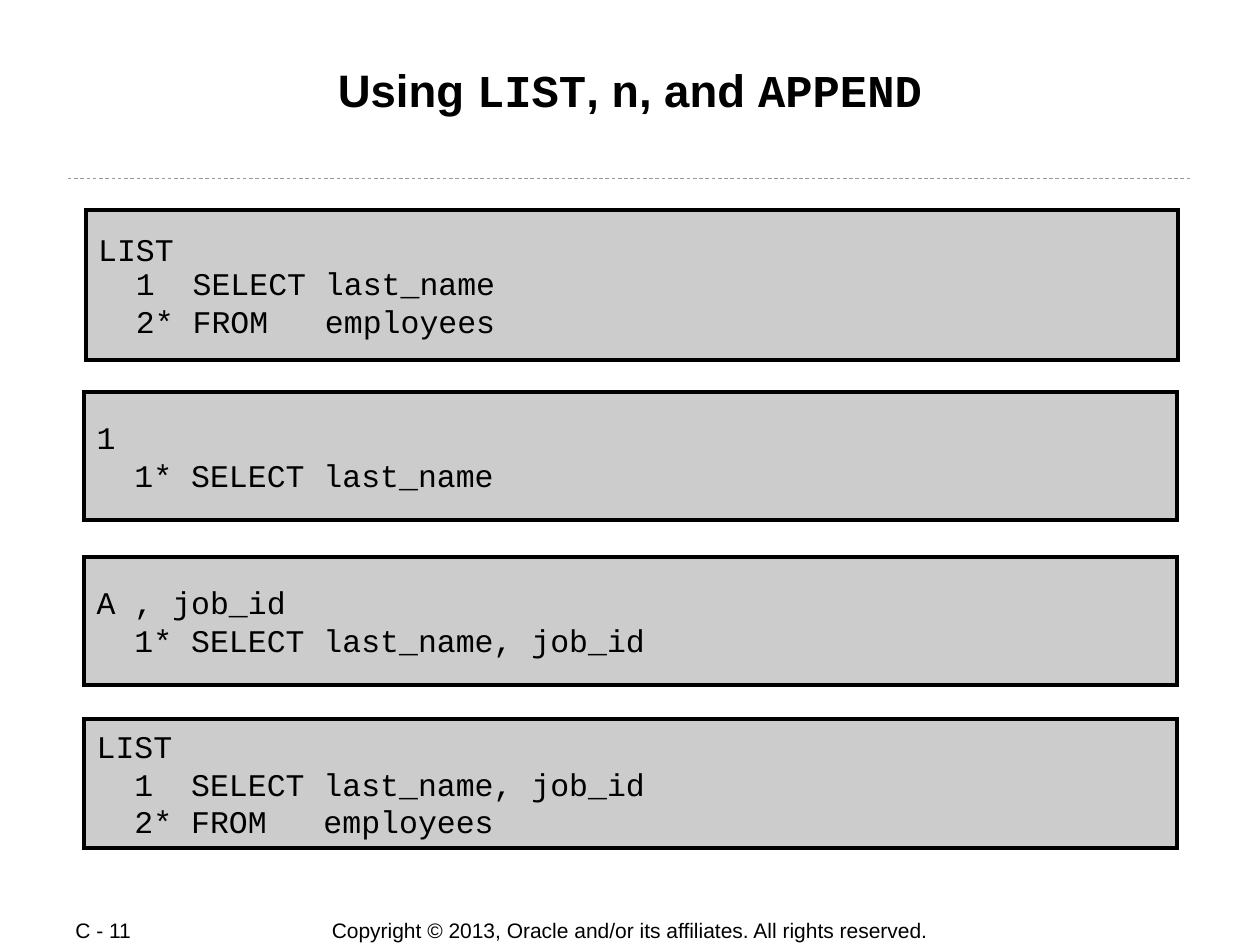
from dataclasses import dataclass

from lxml import etree
from pptx import Presentation
from pptx.dml.color import RGBColor
from pptx.enum.dml import MSO_LINE
from pptx.enum.shapes import MSO_CONNECTOR, MSO_SHAPE
from pptx.enum.text import MSO_ANCHOR, PP_ALIGN
from pptx.oxml.ns import qn
from pptx.util import Cm, Pt

RECTANGLE, STRAIGHT = MSO_SHAPE.RECTANGLE, MSO_CONNECTOR.STRAIGHT
TOP, MIDDLE = MSO_ANCHOR.TOP, MSO_ANCHOR.MIDDLE
LEFT, CENTER, JUSTIFY = PP_ALIGN.LEFT, PP_ALIGN.CENTER, PP_ALIGN.JUSTIFY
DASH = MSO_LINE.DASH


@dataclass(frozen=True)
class Theme:
    """Colours, fonts and type sizes of the slide."""
    ink: RGBColor = RGBColor(0x00, 0x00, 0x00)
    panel: RGBColor = RGBColor(0xCC, 0xCC, 0xCC)
    rule: RGBColor = RGBColor(0x99, 0x99, 0x99)
    sans: str = "Arial"
    mono: str = "Courier New"
    title_size: int = 26
    code_size: int = 18
    footer_size: int = 12


THEME = Theme()

TITLE = [("Using ", THEME.sans), ("LIST", THEME.mono), (", ", THEME.sans),
         ("n", THEME.mono), (", and ", THEME.sans), ("APPEND", THEME.mono)]

LISTINGS = [
    ((1.73, 4.24, 22.02, 3.02),
     ["LIST", "  1  SELECT last_name", "  2* FROM   employees"], {1: 0.9}),
    ((1.7, 7.9, 22.02, 2.59),
     ["1", "  1* SELECT last_name"], {}),
    ((1.7, 11.23, 22.02, 2.59),
     ["A , job_id", "  1* SELECT last_name, job_id"], {}),
    ((1.7, 14.5, 22.02, 2.59),
     ["LIST", "  1  SELECT last_name, job_id", "  2* FROM   employees"], {}),
]


def write(shape, lines, *, size, bold=False, align=LEFT, anchor=MIDDLE,
          insets=(0.25, 0.13), hanging=0, spacing=None):
    """Fill a shape with lines, each a list of (text, font) runs."""
    frame = shape.text_frame
    frame.word_wrap, frame.vertical_anchor = True, anchor
    frame.margin_left = frame.margin_right = Cm(insets[0])
    frame.margin_top = frame.margin_bottom = Cm(insets[1])
    for index, runs in enumerate(lines):
        paragraph = frame.add_paragraph() if index else frame.paragraphs[0]
        paragraph.alignment = align
        paragraph.line_spacing = (spacing or {}).get(index)
        if hanging:
            properties = paragraph._p.get_or_add_pPr()
            properties.set("marL", str(Cm(hanging)))
            properties.set("indent", str(-Cm(hanging)))
        for text, font in runs:
            run = paragraph.add_run()
            run.text = text
            run.font.name, run.font.size, run.font.bold = font, Pt(size), bold
            run.font.color.rgb = THEME.ink


def add_text(slide, box, lines, **text_format):
    """Add a text box and write its lines."""
    write(slide.shapes.add_textbox(*map(Cm, box)), lines, **text_format)


def add_header(slide, box):
    """Place the title with the dashed rule near the foot of its box."""
    left, top, width, height = box
    add_text(slide, box, [TITLE], size=THEME.title_size, bold=True,
             align=CENTER, anchor=TOP, insets=(0.03, 0.03))
    overhang, rule_top = 0.33, top + height - 0.06
    rule = slide.shapes.add_connector(
        STRAIGHT, Cm(left - overhang), Cm(rule_top),
        Cm(left + width + overhang), Cm(rule_top))
    rule.line.color.rgb, rule.line.width = THEME.rule, Pt(0.5)
    rule.line.dash_style = DASH
    etree.SubElement(rule._element.spPr, qn("a:effectLst"))


def add_listing(slide, box, code, spacing):
    """Place one code listing in a frame with square corners."""
    panel = slide.shapes.add_shape(RECTANGLE, *map(Cm, box))
    panel.shadow.inherit = False
    panel.fill.solid()
    panel.fill.fore_color.rgb = THEME.panel
    panel.line.color.rgb, panel.line.width = THEME.ink, Pt(2.25)
    outline = panel._element.spPr.find(qn("a:ln"))
    etree.SubElement(outline, qn("a:miter"), lim="800000")
    write(panel, [[(line, THEME.mono)] for line in code],
          size=THEME.code_size, insets=(0.25, 0.03), hanging=1.27,
          spacing=spacing)


def add_footer(slide, box):
    """Place the page number and the copyright line."""
    left, top, width, height = box
    add_text(slide, (left, top, 2.69, height), [[("C - 11", THEME.sans)]],
             size=THEME.footer_size, align=JUSTIFY)
    notice = "Copyright © 2013, Oracle and/or its affiliates. All rights reserved."
    notice_width = 13.5
    add_text(slide, (left + (width - notice_width) / 2, top, notice_width, height),
             [[(notice, THEME.sans)]], size=THEME.footer_size, align=CENTER)


def main():
    """Build and save the slide."""
    deck = Presentation()
    deck.slide_width, deck.slide_height = Cm(25.4), Cm(19.05)
    slide = deck.slides.add_slide(deck.slide_layouts[6])
    add_footer(slide, (1.27, 18.49, 22.86, 0.53))
    add_header(slide, (1.7, 1.22, 22, 2.44))
    for box, code, spacing in LISTINGS:
        add_listing(slide, box, code, spacing)
    deck.save("out.pptx")


if __name__ == "__main__":
    main()
